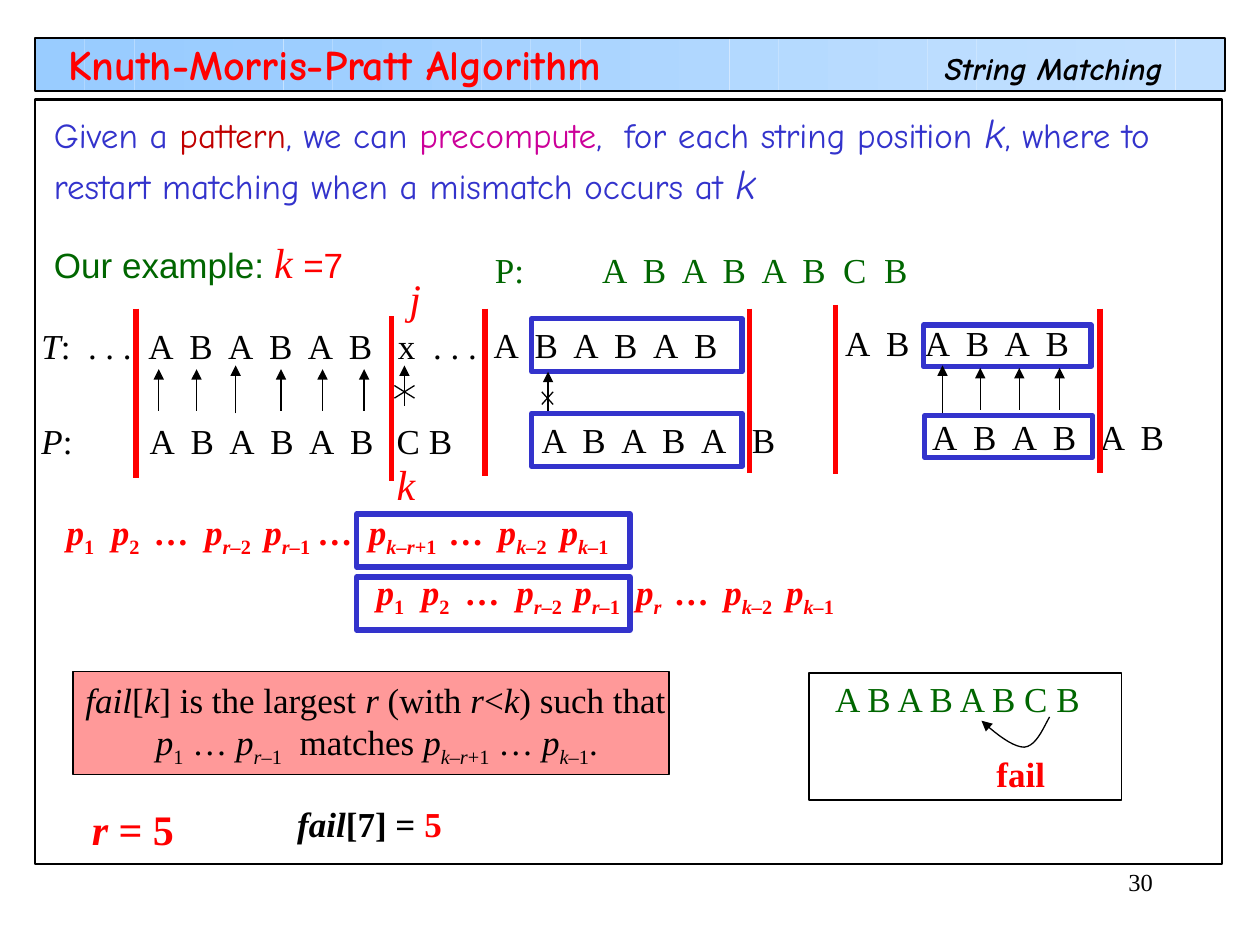
from math import cos, pi
from lxml.etree import SubElement
from pptx import Presentation
from pptx.dml.color import RGBColor
from pptx.enum.shapes import MSO_CONNECTOR, MSO_SHAPE
from pptx.enum.text import MSO_ANCHOR, PP_ALIGN
from pptx.oxml.ns import qn
from pptx.util import Pt

PX = 9144  # one px is a hundredth of an inch
SERIF, SANS, COMIC = "Times New Roman", "Arial", "Comic Neue"
HUE = {"black": "000000", "red": "FF0000", "blue": "3333CC", "green": "006600",
       "brick": "C00000", "pink": "CC0099", "rose": "FF9999"}


def rgb(name):
    return RGBColor.from_string(HUE.get(name, name))


def emu(*nums):
    return [round(n * PX) for n in nums]


def marks(text):
    """Split text into (part, italic, subscript): * toggles italic, {} holds a subscript."""
    part, ital, sub = "", False, False
    for char in text + "*":
        if char not in "*{}":
            part += char
            continue
        if part:
            yield part, ital, sub
        part = ""
        if char == "*":
            ital = not ital
        else:
            sub = char == "{"


def write(para, parts, tabs=(), **base):
    """Fill a paragraph with marked text or a list of (marked text, style)."""
    if isinstance(parts, str):
        parts = [(parts, {})]
    for text, more in parts:
        look = {"size": 20, "face": SERIF, "hue": "black", "bold": False, "wide": False,
                **base, **more}
        for part, ital, sub in marks(text):
            run = para.add_run()
            run.text = part
            font = run.font
            font.name, font.size = look["face"], Pt(look["size"])
            font.bold, font.italic = look["bold"], ital
            font.color.rgb = rgb(look["hue"])
            props = run._r.get_or_add_rPr()
            if sub:
                props.set("baseline", "-25000")
            if look["wide"]:
                props.set("spc", "250")
    if tabs:
        stops = SubElement(para._p.get_or_add_pPr(), qn("a:tabLst"))
        for stop in tabs:
            SubElement(stops, qn("a:tab"), pos=str(emu(stop)[0]), algn="l")


def label(slide, x, y, w, h, parts, tabs=(), **base):
    frame = slide.shapes.add_textbox(*emu(x, y, w, h)).text_frame
    frame.word_wrap = True
    frame.margin_right = 0
    write(frame.paragraphs[0], parts, tabs, **base)
    return frame


def box(slide, x, y, w, h, line="black", width=0.75, fill=None):
    shape = slide.shapes.add_shape(MSO_SHAPE.RECTANGLE, *emu(x, y, w, h))
    shape.shadow.inherit = False
    if fill:
        shape.fill.solid()
        shape.fill.fore_color.rgb = rgb(fill)
    else:
        shape.fill.background()
    if line:
        shape.line.color.rgb = rgb(line)
        shape.line.width = Pt(width)
    else:
        shape.line.fill.background()
    return shape


def tip(shape):
    """Put an arrowhead at the end of a line."""
    SubElement(shape.line._get_or_add_ln(), qn("a:tailEnd"), type="triangle")


def line(slide, x1, y1, x2, y2, hue="black", width=0.75):
    link = slide.shapes.add_connector(MSO_CONNECTOR.STRAIGHT, *emu(x1, y1, x2, y2))
    link.line.color.rgb = rgb(hue)
    link.line.width = Pt(width)
    SubElement(link._element.spPr, qn("a:effectLst"))
    return link


def header(slide, x, y, w, h):
    count = 24
    for i in range(count):
        part = (1 - cos(pi * i / (count - 1))) / 2
        tint = f"{round(153 + 39 * part):02X}{round(204 + 19 * part):02X}FF"
        left, right = round(w * i / count), round(w * (i + 1) / count)
        box(slide, x + left, y, right - left, h, None, fill=tint)
    box(slide, x, y, w, h, width=1.25)
    title = slide.shapes.title
    title._element.getparent().append(title._element)  # in front of the bar
    title.left, title.top, title.width, title.height = emu(x + 16, y + 8, 517, 25)
    frame = title.text_frame
    frame.vertical_anchor = MSO_ANCHOR.MIDDLE
    frame.paragraphs[0].alignment = PP_ALIGN.LEFT
    write(frame.paragraphs[0], "Knuth-Morris-Pratt Algorithm",
          size=24, face=COMIC, hue="red", bold=True)
    label(slide, x + 712, y + 4, 192, 40, "*String Matching*", size=18, face=COMIC, bold=True)


def intro(slide, x, y):
    label(slide, x, y, 933, 90, [
        ("Given a ", {}), ("pattern", {"hue": "brick"}), (", we can ", {}),
        ("precompute", {"hue": "pink"}), (",\tfor each string position ", {}),
        ("*k*", {"size": 24}), (", where to restart matching when a mismatch occurs at ", {}),
        ("*k*", {"size": 24})], [453], face=COMIC, hue="blue")
    label(slide, x, y + 103, 340, 50, [
        ("Our example: ", {"hue": "green"}),
        ("*k *", {"size": 24, "face": SERIF}), ("=7", {})], face=SANS, hue="red")
    label(slide, x + 350, y + 112, 358, 44, [("P:\t", {}), ("A B A B A B C B", {"wide": True})],
          [85], hue="green")


def panel(slide, x, y, rows, bars, arrows, frames=(), cross=None):
    """Compare two rows of letters; every part is placed from the corner x, y."""
    for left, top, width, parts, tabs in rows:
        label(slide, x + left, y + top, width, 44, parts, tabs)
    for left, top, low in bars:
        line(slide, x + left, y + top, x + left, y + low, "red", 3)
    for left, top, w, h in frames:
        box(slide, x + left, y + top, w, h, "blue", 3)
    for left, low, top in arrows:
        tip(line(slide, x + left, y + low, x + left, y + top))
    if cross:
        left, top, w, h = cross
        for up, down in ((0, h), (h, 0)):
            line(slide, x + left + w, y + top + up, x + left, y + top + down)


def panels(slide, y):
    wide = {"wide": True}
    six = [("A B A B A B", wide)]
    panel(slide, 23, y,
          [(0, 11, 371, [("*T*:\t. . .\t", {}), *six, ("\tx\t. . .", {})], [37, 85, 283, 311]),
           (0, 86, 358, [("*P*:\t", {}), *six, ("\tC B", {})], [86, 282])],
          [(85, 3, 137), (288, 9, 140)],
          [(left, 84, 51) for left in (103, 133, 200, 233, 266)]
          + [(164, 86, 48), (298, 80, 48)],
          cross=(290, 64, 16, 10))
    panel(slide, 382, y,
          [(0, 10, 250, six, ()),
           (38, 85, 250, [("A B A B A", wide), ("\tB", {})], [167])],
          [(3, 3, 136), (213, 3, 133)], [(53, 84, 53)],
          [(40, top, 167, 42) for top in (11, 86)], (48, 69, 9, 10))
    panel(slide, 661, y,
          [(0, 8, 289, six, ()),
           (69, 83, 265, [("A B A B", wide), ("\t", {}), ("A B", wide)], [133])],
          [(2, 0, 134), (212, 3, 133)],
          [(87, 86, 48)] + [(left, 83, 50) for left in (117, 148, 180)],
          [(72, 16, 133, 33), (73, 88, 133, 33)])
    label(slide, 315, y - 31, 29, 50, "*j*", size=24, hue="red")
    label(slide, 305, y + 117, 43, 50, "*k*", size=24, hue="red")


def shift(slide, x, y):
    look = {"hue": "red", "bold": True}
    head, tail = "*p*{1}\t*p*{2}\t…\t*p{r–*2}\t*p{r–*1}\t", "…\t*p{k–*2}\t*p{k–*1}"
    label(slide, x, y, 458, 48, head + "…\t*p{k–r*+1}\t" + tail,
          [36, 69, 110, 157, 199, 240, 303, 343, 392], **look)
    label(slide, x + 246, y + 48, 390, 48, head + "*p{r*}\t" + tail,
          [36, 70, 111, 157, 206, 236, 276, 325], **look)
    for top in (8, 58):
        box(slide, x + 240, y + top, 217, 42, "blue", 3)


def rule(slide, x, y):
    frame = box(slide, x, y, 473, 82, fill="rose").text_frame
    frame.word_wrap = True
    frame.margin_right = 0
    frame.vertical_anchor = MSO_ANCHOR.MIDDLE
    for para, text, tabs in (
            (frame.paragraphs[0],
             "*fail*[*k*] is the largest *r* (with *r*<*k*) such that", ()),
            (frame.add_paragraph(),
             "\t*p*{1} … *p{r–*1}\tmatches *p{k–r*+1} … *p{k–*1}.", [56, 170])):
        para.alignment = PP_ALIGN.LEFT
        write(para, text, tabs)
    label(slide, x + 5, y + 100, 85, 50, "*r* = 5", size=24, hue="red", bold=True)
    label(slide, x + 168, y + 99, 135, 44,
          [("*fail*[7] = ", {}), ("5", {"hue": "red"})], bold=True)


def curve(a, b, c, d, steps=10):
    """Points on a cubic Bezier curve after its first point."""
    for i in range(1, steps + 1):
        t = i / steps
        s = 1 - t
        yield tuple(s**3 * p + 3 * s * s * t * q + 3 * s * t * t * r + t**3 * e
                    for p, q, r, e in zip(a, b, c, d))


def link(slide, x, y):
    """Show where the failure link leads in the pattern."""
    label(slide, x + 11, y - 1, 222, 44, "A B A B A B C B", hue="green")
    start, low, end = (191, 35), (171, 59), (137, 38)
    points = [*curve(start, (185, 46), (180, 58), low), *curve(low, (162, 59), (149, 49), end)]
    pen = slide.shapes.build_freeform(*emu(x + start[0], y + start[1]))
    pen.add_line_segments([emu(x + px, y + py) for px, py in points], close=False)
    arc = pen.convert_to_shape()
    arc.shadow.inherit = False
    arc.fill.background()
    arc.line.color.rgb = rgb("black")
    arc.line.width = Pt(0.75)
    tip(arc)
    label(slide, x + 139, y + 58, 58, 44, "fail", hue="red", bold=True)
    box(slide, x, y, 248, 101)


def main():
    deck = Presentation()
    deck.slide_width, deck.slide_height = emu(1000, 750)
    slide = deck.slides.add_slide(deck.slide_layouts[5])
    header(slide, 28, 30, 944, 42)
    box(slide, 28, 79, 942, 607, width=1.25)
    intro(slide, 33, 80)
    panels(slide, 242)
    shift(slide, 43, 400)
    rule(slide, 58, 533)
    link(slide, 642, 534)
    page = label(slide, 792, 683, 123, 50, "30", size=14)
    page.paragraphs[0].alignment = PP_ALIGN.RIGHT
    deck.save("out.pptx")


if __name__ == "__main__":
    main()
